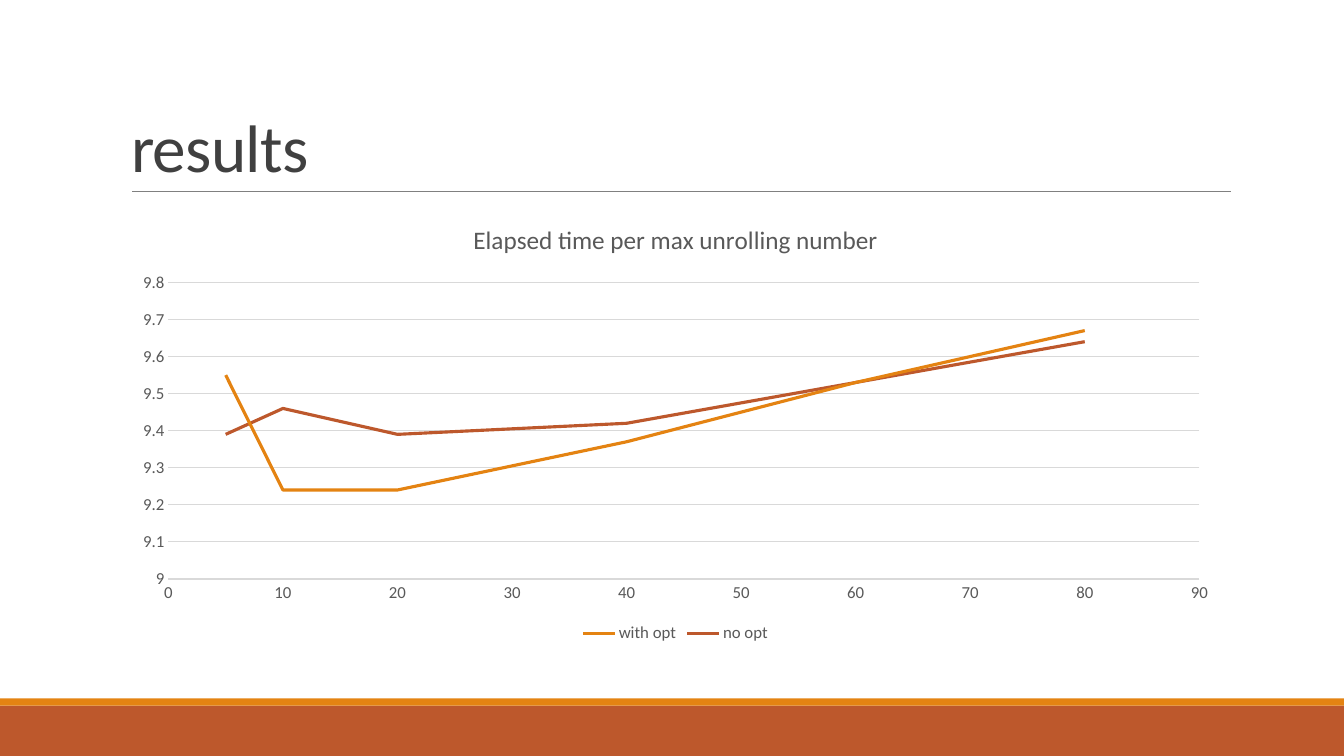
import pptx
import pptx.util
import pptx.chart.data
import pptx.dml.color
import pptx.enum.chart
import pptx.enum.shapes
import pptx.enum.text
import pptx.oxml

Inches = pptx.util.Inches
Pt = pptx.util.Pt
RGBColor = pptx.dml.color.RGBColor

ORANGE = RGBColor(0xE4, 0x83, 0x12)
RUST = RGBColor(0xBD, 0x58, 0x2C)
RULE_GRAY = RGBColor(0x80, 0x80, 0x80)
TITLE_GRAY = RGBColor(0x40, 0x40, 0x40)
LABEL_GRAY = RGBColor(0x59, 0x59, 0x59)
GRID_GRAY = RGBColor(0xD9, 0xD9, 0xD9)
FONT = "Calibri"

UNROLLING = [5, 10, 20, 40, 60, 80]
SERIES = [
    ("with opt", ORANGE, [9.55, 9.24, 9.24, 9.37, 9.53, 9.67]),
    ("no opt", RUST, [9.39, 9.46, 9.39, 9.42, 9.53, 9.64]),
]


def style_font(font, size, color):
    font.name = FONT
    font.size = Pt(size)
    font.bold = False
    font.color.rgb = color


def style_line(line, color, width):
    line.color.rgb = color
    line.width = Pt(width)


def add_bar(s, top, height, color):
    bar = s.shapes.add_shape(pptx.enum.shapes.MSO_SHAPE.RECTANGLE,
                             0, Inches(top), Inches(13.33), Inches(height))
    bar.shadow.inherit = False
    bar.fill.solid()
    bar.fill.fore_color.rgb = color
    bar.line.fill.background()


def add_rule(s, left, right, y):
    rule = s.shapes.add_connector(pptx.enum.shapes.MSO_CONNECTOR.STRAIGHT,
                                  Inches(left), Inches(y), Inches(right), Inches(y))
    style_line(rule.line, RULE_GRAY, 0.5)
    rule._element.spPr.append(pptx.oxml.parse_xml(
        '<a:effectLst xmlns:a="http://schemas.openxmlformats.org/drawingml/2006/main"/>'))


def set_title(s, text):
    sp = s.shapes.title
    sp.left, sp.top = Inches(1.2), Inches(0.31)
    sp.width, sp.height = Inches(11), Inches(1.59)
    tf = sp.text_frame
    tf.word_wrap = True
    tf.auto_size = pptx.enum.text.MSO_AUTO_SIZE.NONE
    tf.vertical_anchor = pptx.enum.text.MSO_ANCHOR.BOTTOM
    p = tf.paragraphs[0]
    p.alignment = pptx.enum.text.PP_ALIGN.LEFT
    p.line_spacing = 0.85
    r = p.add_run()
    r.text = text
    style_font(r.font, 48, TITLE_GRAY)
    r.font._element.set("spc", "-50")


def style_axis(axis, low, high, step):
    axis.minimum_scale, axis.maximum_scale = low, high
    axis.major_unit = step
    axis.major_tick_mark = pptx.enum.chart.XL_TICK_MARK.NONE
    axis.minor_tick_mark = pptx.enum.chart.XL_TICK_MARK.NONE
    axis.tick_labels.number_format = "General"
    axis.tick_labels.number_format_is_linked = False
    style_font(axis.tick_labels.font, 12, LABEL_GRAY)


def add_time_chart(s, title):
    data = pptx.chart.data.XyChartData()
    for name, _, times in SERIES:
        series = data.add_series(name)
        for x, y in zip(UNROLLING, times):
            series.add_data_point(x, y)
    chart = s.shapes.add_chart(
        pptx.enum.chart.XL_CHART_TYPE.XY_SCATTER_LINES_NO_MARKERS,
        Inches(1.2), Inches(2.02), Inches(11), Inches(4.4), data).chart
    style_font(chart.font, 10, LABEL_GRAY)

    # Chart title and legend
    chart.has_title = True
    r = chart.chart_title.text_frame.paragraphs[0].add_run()
    r.text = title
    style_font(r.font, 18, LABEL_GRAY)
    chart.chart_title.include_in_layout = False
    chart.has_legend = True
    chart.legend.position = pptx.enum.chart.XL_LEGEND_POSITION.BOTTOM
    chart.legend.include_in_layout = False
    style_font(chart.legend.font, 12, LABEL_GRAY)

    # Axes
    style_axis(chart.category_axis, 0, 90, 10)
    chart.category_axis.has_major_gridlines = False
    style_line(chart.category_axis.format.line, GRID_GRAY, 0.75)
    style_axis(chart.value_axis, 9, 9.8, 0.1)
    chart.value_axis.has_major_gridlines = True
    style_line(chart.value_axis.major_gridlines.format.line, GRID_GRAY, 0.75)
    chart.value_axis.format.line.fill.background()

    # Series lines
    chart.plots[0].vary_by_categories = False
    for series, (_, color, _) in zip(chart.plots[0].series, SERIES):
        series.smooth = False
        series.marker.style = pptx.enum.chart.XL_MARKER_STYLE.NONE
        style_line(series.format.line, color, 2.25)


def main():
    prs = pptx.Presentation()
    prs.slide_width, prs.slide_height = Inches(13.33), Inches(7.5)
    s = prs.slides.add_slide(prs.slide_layouts[5])

    # Footer bars and title rule
    add_bar(s, 7, 0.5, RUST)
    add_bar(s, 6.93, 0.07, ORANGE)
    add_rule(s, 1.31, 12.21, 1.9)

    # Content
    set_title(s, "results")
    add_time_chart(s, "Elapsed time per max unrolling number")
    prs.save("out.pptx")


if __name__ == "__main__":
    main()
